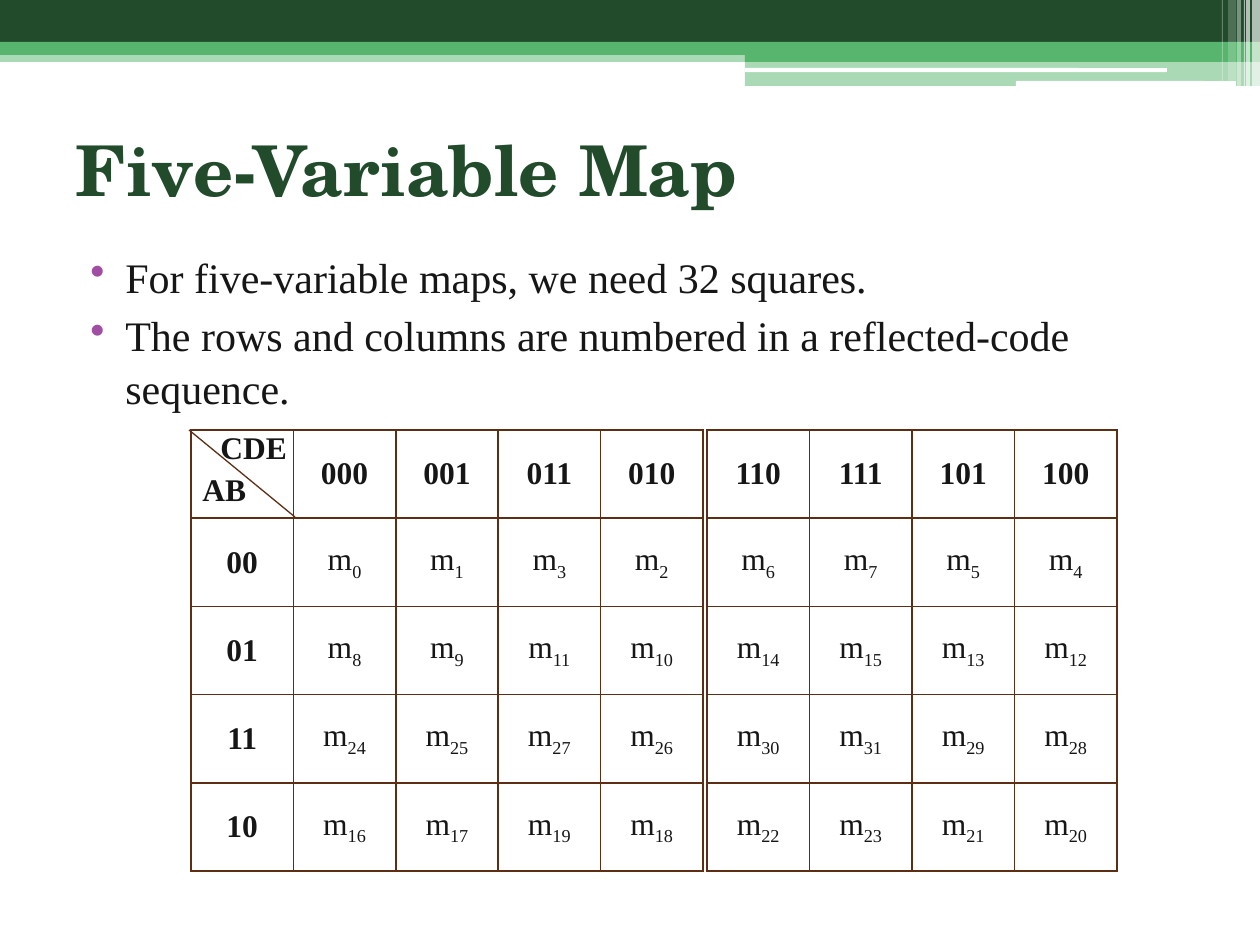
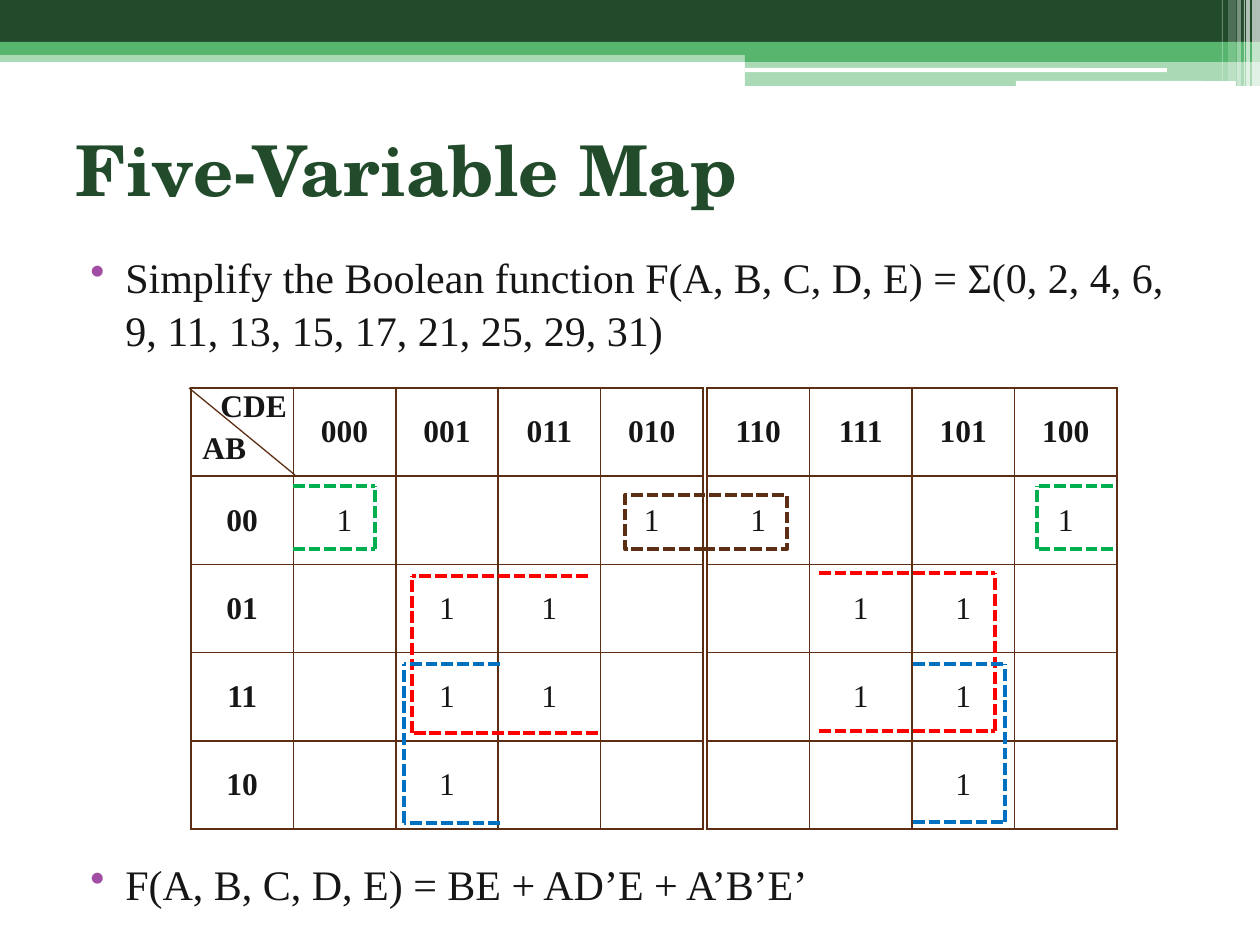
from dataclasses import dataclass

from lxml import etree
from pptx import Presentation, util as u
from pptx.dml.color import RGBColor
from pptx.enum import dml, shapes, text
from pptx.oxml import ns, parse_xml


@dataclass(frozen=True)
class Theme:
    dark: str = "214B2B"
    green: str = "57B56D"
    white: str = "FFFFFF"
    ink: str = "161616"
    dot: str = "A04DA3"
    brown: str = "5C2E14"
    red: str = "FF0000"
    blue: str = "0070C0"
    lime: str = "00B050"
    head: str = "TeX Gyre Schola"
    body: str = "Times New Roman"
    title: int = 40
    bullet: int = 24
    cell: int = 18


T = Theme()
RECT = shapes.MSO_SHAPE.RECTANGLE
ROUND = shapes.MSO_SHAPE.ROUNDED_RECTANGLE
MID = text.MSO_ANCHOR.MIDDLE
WIDE, HIGH = 1260, 945
CODES = {2: ["00", "01", "11", "10"],
         3: ["000", "001", "011", "010", "110", "111", "101", "100"]}
# x, y, width, height, colour, opacity in percent
BANDS = [
    (0, 50, 1260, 12, T.green, 50),
    (0, 0, 1260, 43, T.dark, 100),
    (0, 42, 1260, 13, T.green, 100),
    (745, 49, 515, 13, T.green, 100),
    (745, 61, 515, 25, T.green, 50),
]
BARS = [(745, 68, 422, 4), (1016, 81, 220, 5)]
# x, width, height, opacity in percent
STRIPES = [(1252, 8, 86, 65), (1246, 4, 86, 65), (1244, 1, 86, 60),
           (1237, 4, 86, 40), (1228, 8, 81, 20), (1222, 1, 81, 30)]
# open end at top, open end at bottom, closed side, top, bottom, colour
LOOPS = [
    (628, 628, 804, 185, 343, T.red),
    (397, 407, 221, 188, 345, T.red),
    (722, 722, 814, 276, 434, T.blue),
    (309, 309, 213, 276, 435, T.blue),
    (102, 102, 184, 98, 161, T.lime),
    (922, 922, 846, 98, 161, T.lime),
]
ONES = {0, 2, 4, 6, 9, 11, 13, 15, 17, 21, 25, 27, 29, 31}


def px(n):
    return u.Emu(round(n * 914400 / 126))


def rgb(hue):
    return RGBColor.from_string(hue)


def put(obj, vals):
    for key, val in vals.items():
        setattr(obj, key, val)


def write(para, words, size=T.cell, bold=False, face=T.body, hue=T.ink):
    run = para.add_run()
    run.text = words
    put(run.font, dict(size=u.Pt(size), bold=bold, name=face))
    run.font.color.rgb = rgb(hue)
    return run


def label(slide, box, wrap=True, anchor=text.MSO_ANCHOR.TOP):
    """Add an empty text box and return its frame."""
    frame = slide.shapes.add_textbox(*map(px, box)).text_frame
    put(frame, dict(word_wrap=wrap, vertical_anchor=anchor))
    return frame


def block(slide, box, hue, alpha=100, kind=RECT):
    item = slide.shapes.add_shape(kind, *map(px, box))
    item.shadow.inherit = False
    item.line.fill.background()
    item.fill.solid()
    item.fill.fore_color.rgb = rgb(hue)
    if alpha < 100:
        tint = item.fill._xPr.find(".//" + ns.qn("a:srgbClr"))
        etree.SubElement(tint, ns.qn("a:alpha"), val=str(alpha * 1000))


def stroke(line, hue, width, dash=None):
    line.color.rgb = rgb(hue)
    put(line, dict(width=u.Pt(width), dash_style=dash))


def rule(slide, ends, hue, width, dash=None):
    line = slide.shapes.add_connector(
        shapes.MSO_CONNECTOR.STRAIGHT, *map(px, ends))
    stroke(line.line, hue, width, dash)
    etree.SubElement(line._element.spPr, ns.qn("a:effectLst"))


def header(slide):
    for *box, hue, alpha in BANDS:
        block(slide, box, hue, alpha)
    for bar in BARS:
        block(slide, bar, T.white, kind=ROUND)
    for x, wide, high, alpha in STRIPES:
        block(slide, (x, 0, wide, high), T.white, alpha)
    frame = label(slide, (63, 95, 1134, 147), anchor=MID)
    write(frame.paragraphs[0], "Five-Variable Map", T.title, True, T.head,
          T.dark)


def bullets(slide, box, lines):
    frame = label(slide, box)
    for i, words in enumerate(lines):
        para = frame.add_paragraph() if i else frame.paragraphs[0]
        put(para, dict(space_before=u.Pt(3), line_spacing=1.05))
        props = para._p.get_or_add_pPr()
        props.set("marL", str(px(50)))
        props.set("indent", str(px(-35)))
        tint = etree.SubElement(props, ns.qn("a:buClr"))
        etree.SubElement(tint, ns.qn("a:srgbClr"), val=T.dot)
        etree.SubElement(props, ns.qn("a:buChar"), char="•")
        write(para, words, T.bullet)


def border(cell):
    props = cell._tc.get_or_add_tcPr()
    for i, side in enumerate(("lnL", "lnR", "lnT", "lnB")):
        props.insert(i, parse_xml(
            f'<a:{side} {ns.nsdecls("a")} w="12700"><a:solidFill>'
            f'<a:srgbClr val="{T.brown}"/></a:solidFill></a:{side}>'))


def grid(slide, box, rows):
    """Draw rows of cells; a cell lists its (words, bold, sub) runs."""
    table = slide.shapes.add_table(
        len(rows), len(rows[0]), *map(px, box)).table
    put(table, dict(first_row=False, horz_banding=False))
    for col in table.columns:
        col.width = px(box[2] / len(rows[0]))
    for row, cells in zip(table.rows, rows):
        row.height = px(box[3] / len(rows))
        for cell, runs in zip(row.cells, cells):
            cell.vertical_anchor = MID
            cell.fill.background()
            border(cell)
            para = cell.text_frame.paragraphs[0]
            para.alignment = text.PP_ALIGN.CENTER
            for words, bold, sub in runs:
                run = write(para, words, bold=bold)
                if sub:
                    run.font._element.set("baseline", "-25000")


def kmap(slide, x, y, mark):
    """Draw both halves of the map; mark(n) gives the runs of minterm n."""
    rows = [[[]] + [[(code, True, False)] for code in CODES[3]]]
    for ab in CODES[2]:
        rows.append([[(ab, True, False)]]
                    + [mark(int(ab + cde, 2)) for cde in CODES[3]])
    grid(slide, (x, y, 512, 441), [row[:5] for row in rows])
    grid(slide, (x + 516, y, 410, 441), [row[5:] for row in rows])
    rule(slide, (x - 2, y, x + 104, y + 87), T.brown, 0.75)
    for words, dx, dy, wide in (("AB", -1, 34, 69), ("CDE", 17, -8, 92)):
        frame = label(slide, (x + dx, y + dy, wide, 50), wrap=False)
        write(frame.paragraphs[0], words, bold=True)


def loops(slide, x, y):
    """Outline the groups of ones on the map at x, y."""
    dash = dml.MSO_LINE.SQUARE_DOT
    pair = slide.shapes.add_shape(
        RECT, *map(px, (x + 434, y + 107, 162, 54)))
    pair.shadow.inherit = False
    pair.fill.background()
    stroke(pair.line, T.brown, 2.25, dash)
    for upper, lower, side, top, base, hue in LOOPS:
        for x1, y1, x2, y2 in ((side, base, side, top),
                               (upper, top, side, top),
                               (lower, base, side, base)):
            rule(slide, (x + x1, y + y1, x + x2, y + y2), hue, 2.25, dash)


def term(n):
    return [("m", False, False), (str(n), False, True)]


def one(n):
    return [("1", False, False)] if n in ONES else []


def layout(slide):
    header(slide)
    bullets(slide, (63, 243, 1134, 170), [
        "For five-variable maps, we need 32 squares.",
        "The rows and columns are numbered in a reflected-code sequence."])
    kmap(slide, 191, 430, term)


def example(slide):
    header(slide)
    bullets(slide, (63, 243, 1134, 120), [
        "Simplify the Boolean function F(A, B, C, D, E) = Ʃ(0, 2, 4, 6, "
        "9, 11, 13, 15, 17, 21, 25, 29, 31)"])
    kmap(slide, 191, 388, one)
    loops(slide, 191, 388)
    bullets(slide, (63, 850, 1134, 64),
            ["F(A, B, C, D, E) = BE + AD’E + A’B’E’"])


def main():
    deck = Presentation()
    put(deck, dict(slide_width=px(WIDE), slide_height=px(HIGH)))
    for build in (layout, example):
        build(deck.slides.add_slide(deck.slide_layouts[6]))
    deck.save("out.pptx")


if __name__ == "__main__":
    main()
